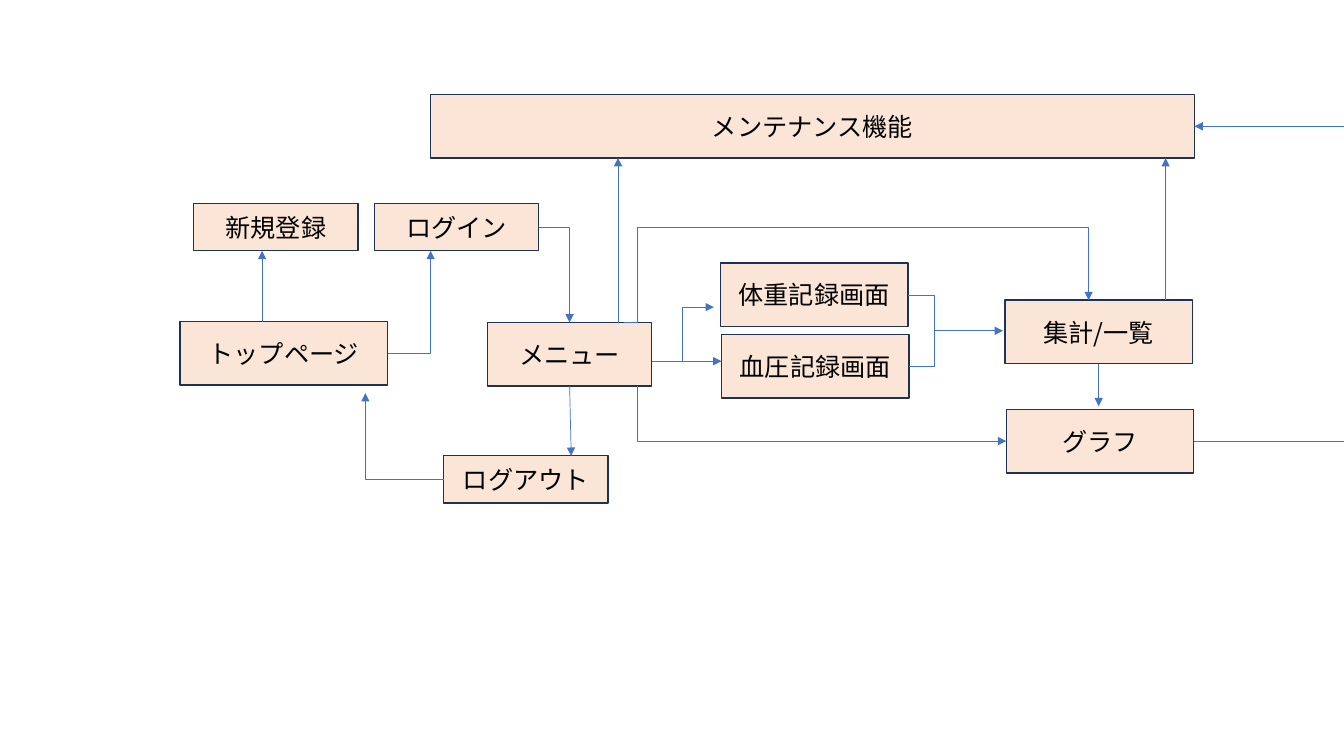
from collections import namedtuple
from lxml import etree
from pptx import Presentation
from pptx.dml.color import RGBColor
from pptx.enum.shapes import MSO_CONNECTOR, MSO_SHAPE
from pptx.enum.text import MSO_ANCHOR, PP_ALIGN
from pptx.oxml.ns import qn
from pptx.util import Pt

RECTANGLE = MSO_SHAPE.RECTANGLE
STRAIGHT = MSO_CONNECTOR.STRAIGHT
CENTER = PP_ALIGN.CENTER
MIDDLE = MSO_ANCHOR.MIDDLE

SLIDE_WIDTH, SLIDE_HEIGHT = 960, 540

THEME = {
    "font": "Noto Sans CJK JP",
    "text_size": 18,
    "text": RGBColor.from_string("000000"),
    "box_fill": RGBColor.from_string("FBE5D6"),
    "box_line": RGBColor.from_string("1E3256"),
    "arrow": RGBColor.from_string("4472C4"),
    "box_line_width": 1,
    "arrow_width": 0.5,
}

SIZES = {
    "page": (148.3, 45.4),
    "account": (117.4, 33.8),
    "menu": (117.4, 45.4),
    "record": (133.9, 45.4),
    "maintenance": (545.8, 45.4),
}

SCREENS = {
    "top_page": ("トップページ", "page", 128.6, 229.7),
    "sign_up": ("新規登録", "account", 138.4, 145.4),
    "login": ("ログイン", "account", 267.5, 145.4),
    "logout": ("ログアウト", "account", 317, 325.6),
    "menu": ("メニュー", "menu", 348.2, 230.4),
    "maintenance": ("メンテナンス機能", "maintenance", 307.4, 67.5),
    "weight": ("体重記録画面", "record", 514.6, 187.9),
    "pressure": ("血圧記録画面", "record", 515.4, 239),
    "summary": ("集計/一覧", "record", 717.8, 214.4),
    "graph": ("グラフ", "record", 718.8, 292.4),
}

Box = namedtuple("Box", "left top right bottom center middle")


def measure(size, left, top):
    width, height = SIZES[size]
    return Box(left, top, left + width, top + height, left + width / 2, top + height / 2)


boxes = {name: measure(*screen[1:]) for name, screen in SCREENS.items()}
top_page, sign_up, login, logout, menu, maintenance, weight, pressure, summary, graph = boxes.values()

login_entry = 307.6
logout_return = (261, 280.8)
record_fork = 487.4
record_join = 667.4
weight_entry = (510, 219.4)
menu_branch = 455.4
summary_entry = (716.4, summary.middle)
summary_loop = (777.6, 162.2)
summary_exit = 832.6
graph_entry = (784.8, 290.2)
menu_up = 441.5
output_middle = 262

ROUTES = [
    ([(menu.center, menu.bottom), (408, logout.top)], True),
    ([(logout.left, logout.middle), (logout_return[0], logout.middle), logout_return], True),
    ([(187.2, top_page.top), (187.2, sign_up.bottom)], True),
    ([(top_page.right, top_page.middle), (login_entry, top_page.middle), (login_entry, login.bottom)], True),
    ([(login.right, login.middle), (menu.center, login.middle), (menu.center, menu.top)], True),
    ([(menu_up, menu.top), (menu_up, maintenance.bottom)], True),
    ([(menu.right, 258), (record_fork, 258), (record_fork, weight_entry[1]), weight_entry], True),
    ([(record_fork, 258), (pressure.left, 258)], True),
    ([(weight.right, weight.middle), (record_join, weight.middle),
      (record_join, pressure.middle), (pressure.right, pressure.middle)], False),
    ([(record_join, summary.middle - 0.8), (summary_entry[0], summary.middle - 0.8)], True),
    ([(graph_entry[0], summary.bottom), graph_entry], True),
    ([(menu_branch, menu.bottom), (menu_branch, graph.middle), (graph.left, graph.middle)], True),
    ([(445.7, menu.top), (menu_branch, menu.top), (menu_branch, summary_loop[1]),
      summary_loop, (summary_loop[0], summary.top)], True),
    ([(summary_exit, summary.top), (summary_exit, maintenance.bottom)], True),
    ([(graph.right, graph.middle), (SLIDE_WIDTH, graph.middle)], False),
    ([(SLIDE_WIDTH, maintenance.middle), (maintenance.right, maintenance.middle)], True),
]


def write_text(shape, text, *, size, color, font, align=CENTER, anchor=MIDDLE):
    frame = shape.text_frame
    frame.word_wrap = True
    frame.vertical_anchor = anchor
    paragraph = frame.paragraphs[0]
    paragraph.alignment = align
    run = paragraph.add_run()
    run.text = text
    run.font.size = Pt(size)
    run.font.color.rgb = color
    run.font.name = font
    etree.SubElement(run.font._element, qn("a:ea"), typeface=font)


def draw_box(slide, text, box):
    shape = slide.shapes.add_shape(
        RECTANGLE, Pt(box.left), Pt(box.top), Pt(box.right - box.left), Pt(box.bottom - box.top))
    shape.shadow.inherit = False
    shape.fill.solid()
    shape.fill.fore_color.rgb = THEME["box_fill"]
    shape.line.color.rgb = THEME["box_line"]
    shape.line.width = Pt(THEME["box_line_width"])
    write_text(shape, text, size=THEME["text_size"], color=THEME["text"], font=THEME["font"])


def draw_route(slide, points, has_arrow):
    stops = [(Pt(x), Pt(y)) for x, y in points]
    straight = len(stops) == 2
    if straight:
        route = slide.shapes.add_connector(STRAIGHT, *stops[0], *stops[1])
    else:
        builder = slide.shapes.build_freeform(*stops[0])
        builder.add_line_segments(stops[1:], close=False)
        route = builder.convert_to_shape()
        route.fill.background()
        route.shadow.inherit = False
    route.line.color.rgb = THEME["arrow"]
    route.line.width = Pt(THEME["arrow_width"])
    properties = route.element.spPr
    if has_arrow:
        etree.SubElement(properties.find(qn("a:ln")), qn("a:tailEnd"), type="triangle")
    if straight:
        etree.SubElement(properties, qn("a:effectLst"))


presentation = Presentation()
presentation.slide_width = Pt(SLIDE_WIDTH)
presentation.slide_height = Pt(SLIDE_HEIGHT)
slide = presentation.slides.add_slide(presentation.slide_layouts[6])

for name, (text, *_) in SCREENS.items():
    draw_box(slide, text, boxes[name])
for points, has_arrow in ROUTES:
    draw_route(slide, points, has_arrow)

presentation.save("out.pptx")
